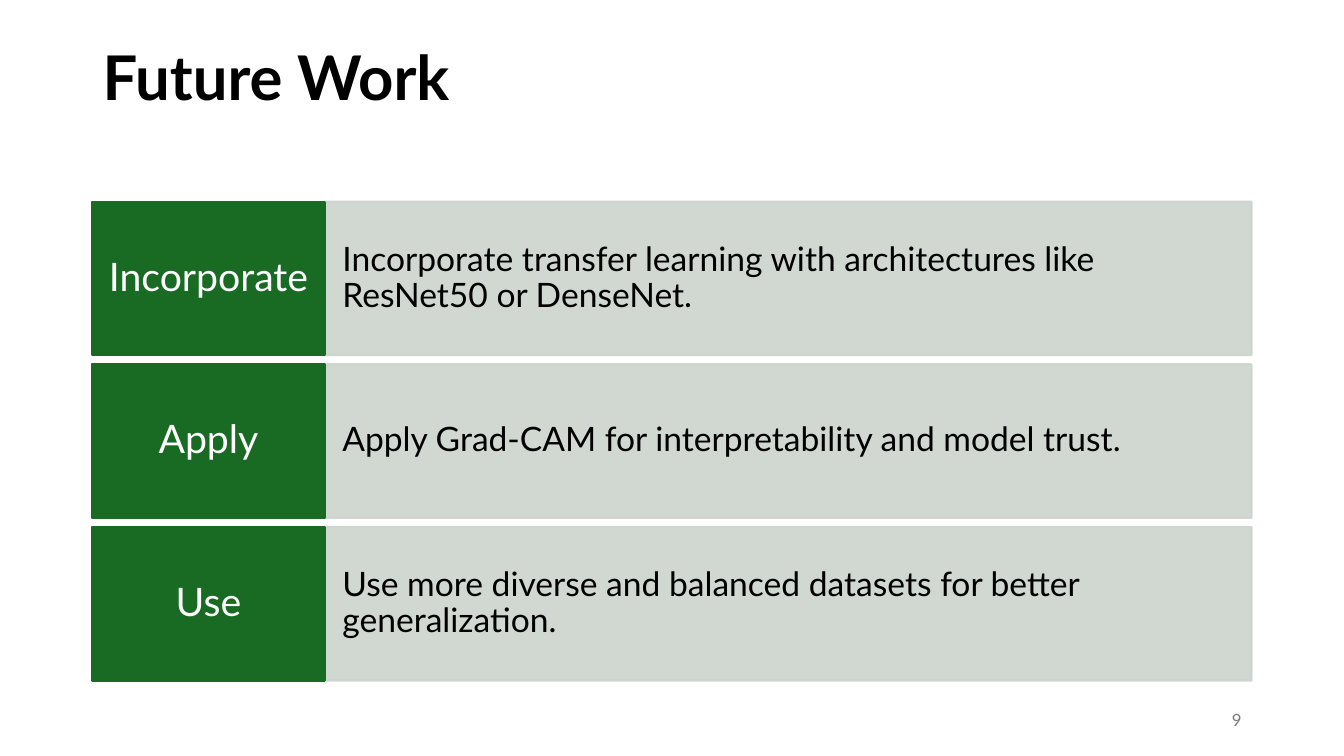
from lxml.etree import SubElement
from pptx import Presentation
from pptx.dml.color import RGBColor
from pptx.enum.shapes import MSO_SHAPE as Shape
from pptx.enum.text import MSO_ANCHOR as Anchor, MSO_AUTO_SIZE as Fit, PP_ALIGN as Align
from pptx.oxml.ns import qn
from pptx.util import Cm, Pt

TITLE = "Future Work"
STEPS = [
    ("Incorporate", "Incorporate transfer learning with architectures like ResNet50 or DenseNet."),
    ("Apply", "Apply Grad-CAM for interpretability and model trust."),
    ("Use", "Use more diverse and balanced datasets for better generalization."),
]
NUMBER = "9"

FONT = "Lato"
GREEN = RGBColor(0x19, 0x6B, 0x24)
PALE = RGBColor(0xCC, 0xD4, 0xCD)
GREY = RGBColor(0x79, 0x79, 0x79)
BLACK = RGBColor(0, 0, 0)
WHITE = RGBColor(255, 255, 255)

LEFT, TOP = Cm(2.33), Cm(5.08)
LABEL, DETAIL = Cm(5.85), Cm(23.36)
HEIGHT, PITCH = Cm(3.87), Cm(4.1)


def write(frame, text, size, color, align=Align.LEFT, anchor=Anchor.MIDDLE, bold=False):
    frame.word_wrap = True
    frame.auto_size = Fit.NONE
    frame.vertical_anchor = anchor
    para = frame.paragraphs[0]
    para.alignment = align
    para.line_spacing = 0.9
    run = para.add_run()
    run.text = text
    font = run.font
    font.name, font.size, font.bold = FONT, Pt(size), bold
    font.color.rgb = color


def block(left, top, width, color, inset):
    """Add a filled rectangle with the given side and top insets."""
    box = slide.shapes.add_shape(Shape.RECTANGLE, left, top, width, HEIGHT)
    box.shadow.inherit = False
    box.fill.solid()
    box.fill.fore_color.rgb = color
    box.line.color.rgb = color
    box.line.width = Pt(1.5)
    frame = box.text_frame
    frame.margin_left = frame.margin_right = Cm(inset[0])
    frame.margin_top = frame.margin_bottom = Cm(inset[1])
    return box


def fade(box, percent):
    """Set the opacity of the fill and the line."""
    for color in box.element.spPr.iter(qn("a:srgbClr")):
        SubElement(color, qn("a:alpha"), val=str(percent * 1000))


deck = Presentation()
deck.slide_width, deck.slide_height = Cm(33.87), Cm(19.05)
slide = deck.slides.add_slide(deck.slide_layouts[5])

title = slide.shapes.title
title.left, title.top = LEFT, Cm(1.02)
title.width, title.height = LABEL + DETAIL, Cm(3.68)
title.text_frame.margin_top = Cm(0.17)
write(title.text_frame, TITLE, 44, BLACK, anchor=Anchor.TOP, bold=True)

for row, (name, text) in enumerate(STEPS):
    top = TOP + row * PITCH
    detail = block(LEFT + LABEL, top, DETAIL, PALE, (0.45, 0.99))
    fade(detail, 90)
    write(detail.text_frame, text, 24, BLACK)
    label = block(LEFT, top, LABEL, GREEN, (0.31, 0.39))
    write(label.text_frame, name, 28, WHITE, Align.CENTER)

width = Cm(7.62)
page = slide.shapes.add_textbox(LEFT + LABEL + DETAIL - width, Cm(17.65), width, Cm(1.02))
write(page.text_frame, NUMBER, 12, GREY, Align.RIGHT)

deck.save("out.pptx")
